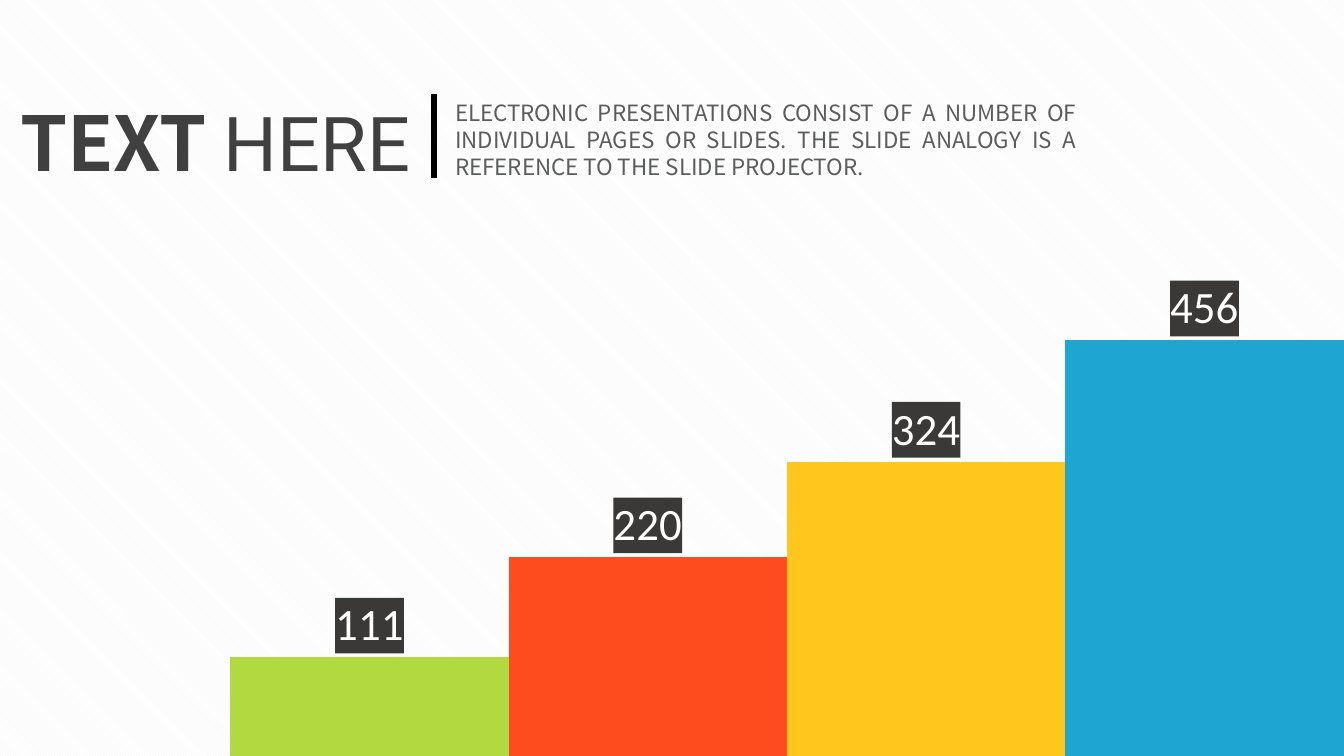
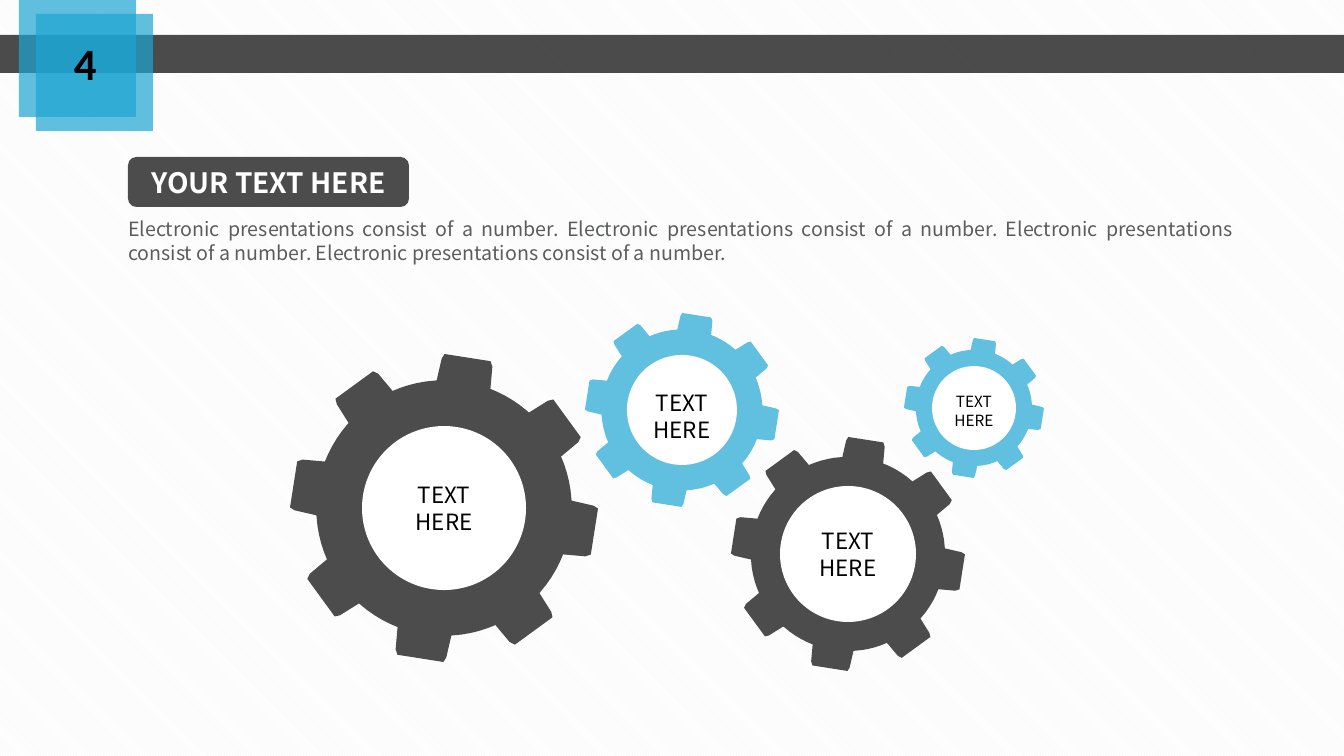
from dataclasses import dataclass
from math import cos, radians, sin

from lxml.etree import SubElement
from pptx import Presentation
from pptx.chart.data import CategoryChartData
from pptx.dml.color import RGBColor
from pptx.enum.chart import XL_CHART_TYPE, XL_LABEL_POSITION
from pptx.enum.dml import MSO_PATTERN
from pptx.enum.shapes import MSO_CONNECTOR, MSO_SHAPE
from pptx.enum.text import MSO_ANCHOR, MSO_AUTO_SIZE, PP_ALIGN
from pptx.oxml import parse_xml
from pptx.oxml.ns import nsdecls, qn
from pptx.util import Pt

SLIDE_WIDTH, SLIDE_HEIGHT = 1344, 756
EMU_PER_PIXEL = 12192000 / SLIDE_WIDTH
TITLE_AND_CONTENT = 1


@dataclass(frozen=True)
class Theme:
    main_font: str = "Noto Sans CJK SC"
    light_font: str = "Roboto"
    number_font: str = "Calibri"
    black: str = "000000"
    white: str = "FFFFFF"
    stripe: str = "F2F2F2"
    heading: str = "404040"
    body: str = "5B5D5C"
    dark: str = "4C4C4C"
    label: str = "3B3838"
    blue: str = "1EA5D2"
    light_blue: str = "61C0DF"
    columns: tuple = ("B2D940", "FE4C1E", "FFC71E", "1EA5D2")
    headline_size: int = 54
    number_size: int = 32
    pill_size: int = 20
    text_size: int = 16
    note_size: int = 14
    small_size: int = 11
    chart_size: int = 10
    opacity: int = 70


THEME = Theme()


def px(length):
    return round(length * EMU_PER_PIXEL)


def apply_format(target, values):
    for name, value in values.items():
        setattr(target, name, value)


def text_style(size, color, font=THEME.main_font, bold=False):
    return {"size": Pt(size), "name": font, "bold": bold, "color": color}


def apply_font(font, style):
    values = dict(style)
    font.color.rgb = RGBColor.from_string(values.pop("color"))
    apply_format(font, values)


def place(shape, box):
    names = ("left", "top", "width", "height")
    apply_format(shape, dict(zip(names, map(px, box))))


def write_text(shape, paragraphs, alignment=PP_ALIGN.LEFT, anchor=MSO_ANCHOR.TOP, wrap=True):
    frame = shape.text_frame
    apply_format(frame, {"word_wrap": wrap, "auto_size": MSO_AUTO_SIZE.NONE, "vertical_anchor": anchor})
    for index, runs in enumerate(paragraphs):
        paragraph = frame.add_paragraph() if index else frame.paragraphs[0]
        apply_format(paragraph, {"alignment": alignment, "space_before": Pt(0)})
        for text, style in runs:
            run = paragraph.add_run()
            run.text = text
            apply_font(run.font, style)


def add_text(slide, box, paragraphs, **options):
    shape = slide.shapes.add_textbox(*map(px, box))
    write_text(shape, paragraphs, **options)


def fill_title(slide, box, runs, **options):
    place(slide.shapes.title, box)
    write_text(slide.shapes.title, [runs], **options)


def fill_body(slide, box, text, size):
    body = slide.placeholders[1]
    place(body, box)
    write_text(body, [[(text, text_style(size, THEME.body))]], alignment=PP_ALIGN.JUSTIFY)
    properties = body.text_frame.paragraphs[0]._p.get_or_add_pPr()
    properties.set("marL", "0")
    properties.set("indent", "0")
    SubElement(properties, qn("a:buNone"))


def paint(shape, color, opacity=100):
    shape.shadow.inherit = False
    shape.fill.solid()
    shape.fill.fore_color.rgb = RGBColor.from_string(color)
    shape.line.fill.background()
    if opacity < 100:
        color_element = shape._element.spPr.find(qn("a:solidFill"))[0]
        SubElement(color_element, qn("a:alpha")).set("val", str(opacity * 1000))


def add_filled_shape(slide, kind, box, color, opacity=100):
    shape = slide.shapes.add_shape(kind, *map(px, box))
    paint(shape, color, opacity)
    return shape


def send_to_back(slide, shape):
    slide.shapes._spTree.insert(2, shape._element)


def add_divider(slide, x, top, bottom):
    line = slide.shapes.add_connector(MSO_CONNECTOR.STRAIGHT, px(x), px(top), px(x), px(bottom))
    line.line.color.rgb = RGBColor.from_string(THEME.black)
    line.line.width = Pt(4.5)
    SubElement(line._element.spPr, qn("a:effectLst"))


def gear_points(center_x, center_y, radius):
    tooth = [(0.83, -12.3), (0.97, -9.9), (1, -8.8), (1, 8.6), (0.97, 9.9), (0.83, 12.3)]
    valley = [(0.83, offset) for offset in (16, 20, 24, 28)]
    points = []
    for tooth_angle in range(9, 369, 45):
        for ratio, offset in tooth + valley:
            angle = radians(tooth_angle + offset)
            x = center_x + radius * ratio * sin(angle)
            y = center_y - radius * ratio * cos(angle)
            points.append((px(x), px(y)))
    return points


def add_gear(slide, center_x, center_y, radius, hub, label_y, color, size):
    start, *others = gear_points(center_x, center_y, radius)
    builder = slide.shapes.build_freeform(*start)
    builder.add_line_segments(others, close=True)
    paint(builder.convert_to_shape(), color)
    hub_box = (center_x - hub, center_y - hub, 2 * hub, 2 * hub)
    add_filled_shape(slide, MSO_SHAPE.OVAL, hub_box, THEME.white)
    style = text_style(size, THEME.black)
    add_text(slide, (center_x - hub, label_y - 32, 2 * hub, 64),
             [[("TEXT", style)], [("HERE", style)]],
             alignment=PP_ALIGN.CENTER, anchor=MSO_ANCHOR.MIDDLE)


def set_plot_layout(chart, x, y, width, height):
    plot_area = chart._chartSpace.chart.plotArea
    for layout in plot_area.findall(qn("c:layout")):
        plot_area.remove(layout)
    values = {"x": x, "y": y, "w": width, "h": height}
    sizes = "".join(f'<c:{name} val="{value}"/>' for name, value in values.items())
    plot_area.insert(0, parse_xml(
        f'<c:layout {nsdecls("c")}><c:manualLayout><c:layoutTarget val="inner"/>'
        f'<c:xMode val="edge"/><c:yMode val="edge"/>{sizes}</c:manualLayout></c:layout>'))


def add_column_chart(slide, box, values):
    data = CategoryChartData()
    data.categories = [str(number) for number in range(1, len(values) + 1)]
    data.add_series("Series 1", values)
    chart = slide.shapes.add_chart(XL_CHART_TYPE.COLUMN_CLUSTERED, *map(px, box), data).chart
    apply_format(chart, {"has_legend": False, "has_title": False})
    apply_font(chart.font, text_style(THEME.chart_size, THEME.black, THEME.number_font))
    apply_format(chart.value_axis, {"minimum_scale": 0, "maximum_scale": 500,
                                    "has_major_gridlines": False, "visible": False})
    chart.category_axis.visible = False
    set_plot_layout(chart, 0.016, 0.171, 0.968, 0.804)
    plot = chart.plots[0]
    apply_format(plot, {"gap_width": 0, "overlap": 4, "vary_by_categories": False})
    series = plot.series[0]
    for index, color in enumerate(THEME.columns):
        fill = series.points[index].format.fill
        fill.solid()
        fill.fore_color.rgb = RGBColor.from_string(color)
    labels = series.data_labels
    apply_format(labels, {"show_value": True, "position": XL_LABEL_POSITION.OUTSIDE_END})
    apply_font(labels.font, text_style(THEME.number_size, THEME.white, THEME.number_font))
    labels._element.find(qn("c:txPr")).addprevious(parse_xml(
        f'<c:spPr {nsdecls("c", "a")}><a:solidFill><a:srgbClr val="{THEME.label}"/>'
        '</a:solidFill></c:spPr>'))


def set_background(presentation):
    fill = presentation.slide_master.background.fill
    fill.patterned()
    fill.pattern = MSO_PATTERN.LIGHT_DOWNWARD_DIAGONAL
    fill.fore_color.rgb = RGBColor.from_string(THEME.stripe)
    fill.back_color.rgb = RGBColor.from_string(THEME.white)


def add_slide(presentation):
    return presentation.slides.add_slide(presentation.slide_layouts[TITLE_AND_CONTENT])


def build_chart_slide(presentation):
    slide = add_slide(presentation)
    add_column_chart(slide, (212, 202, 1150, 572), (111, 220, 324, 456))
    fill_title(slide, (10, 91, 414, 102),
               [("TEXT ", text_style(THEME.headline_size, THEME.heading, bold=True)),
                ("HERE", text_style(THEME.headline_size, THEME.heading, THEME.light_font))],
               wrap=False)
    fill_body(slide, (445, 94, 642, 92),
              "ELECTRONIC PRESENTATIONS CONSIST OF A NUMBER OF INDIVIDUAL PAGES OR SLIDES. "
              "THE SLIDE ANALOGY IS A REFERENCE TO THE SLIDE PROJECTOR.", THEME.text_size)
    add_divider(slide, 434, 94, 178)


def build_gear_slide(presentation):
    slide = add_slide(presentation)
    add_filled_shape(slide, MSO_SHAPE.RECTANGLE, (0, 35, SLIDE_WIDTH, 38), THEME.black, THEME.opacity)
    for left, top in ((19, 0), (36, 14)):
        add_filled_shape(slide, MSO_SHAPE.RECTANGLE, (left, top, 117, 117), THEME.blue, THEME.opacity)
    number_style = text_style(THEME.number_size, THEME.black, THEME.number_font, bold=True)
    add_text(slide, (64, 31, 43, 64), [[("4", number_style)]], wrap=False)
    pill_box = (128, 157, 281, 50)
    pill = add_filled_shape(slide, MSO_SHAPE.ROUNDED_RECTANGLE, pill_box, THEME.dark)
    send_to_back(slide, pill)
    fill_title(slide, pill_box,
               [("YOUR TEXT HERE", text_style(THEME.pill_size, THEME.white, bold=True))],
               alignment=PP_ALIGN.CENTER, anchor=MSO_ANCHOR.MIDDLE)
    sentence = "Electronic presentations consist of a number."
    fill_body(slide, (118, 212, 1126, 57), " ".join([sentence] * 4), THEME.note_size)
    gears = (
        (444, 508, 154, 82, 508, THEME.dark, THEME.text_size),
        (682, 410, 97, 55, 416, THEME.light_blue, THEME.text_size),
        (848, 554, 117, 68, 554, THEME.dark, THEME.text_size),
        (974, 408, 70, 42, 411, THEME.light_blue, THEME.small_size),
    )
    for gear in gears:
        add_gear(slide, *gear)


def main():
    presentation = Presentation()
    apply_format(presentation, {"slide_width": px(SLIDE_WIDTH), "slide_height": px(SLIDE_HEIGHT)})
    set_background(presentation)
    build_chart_slide(presentation)
    build_gear_slide(presentation)
    presentation.save("out.pptx")


if __name__ == "__main__":
    main()
